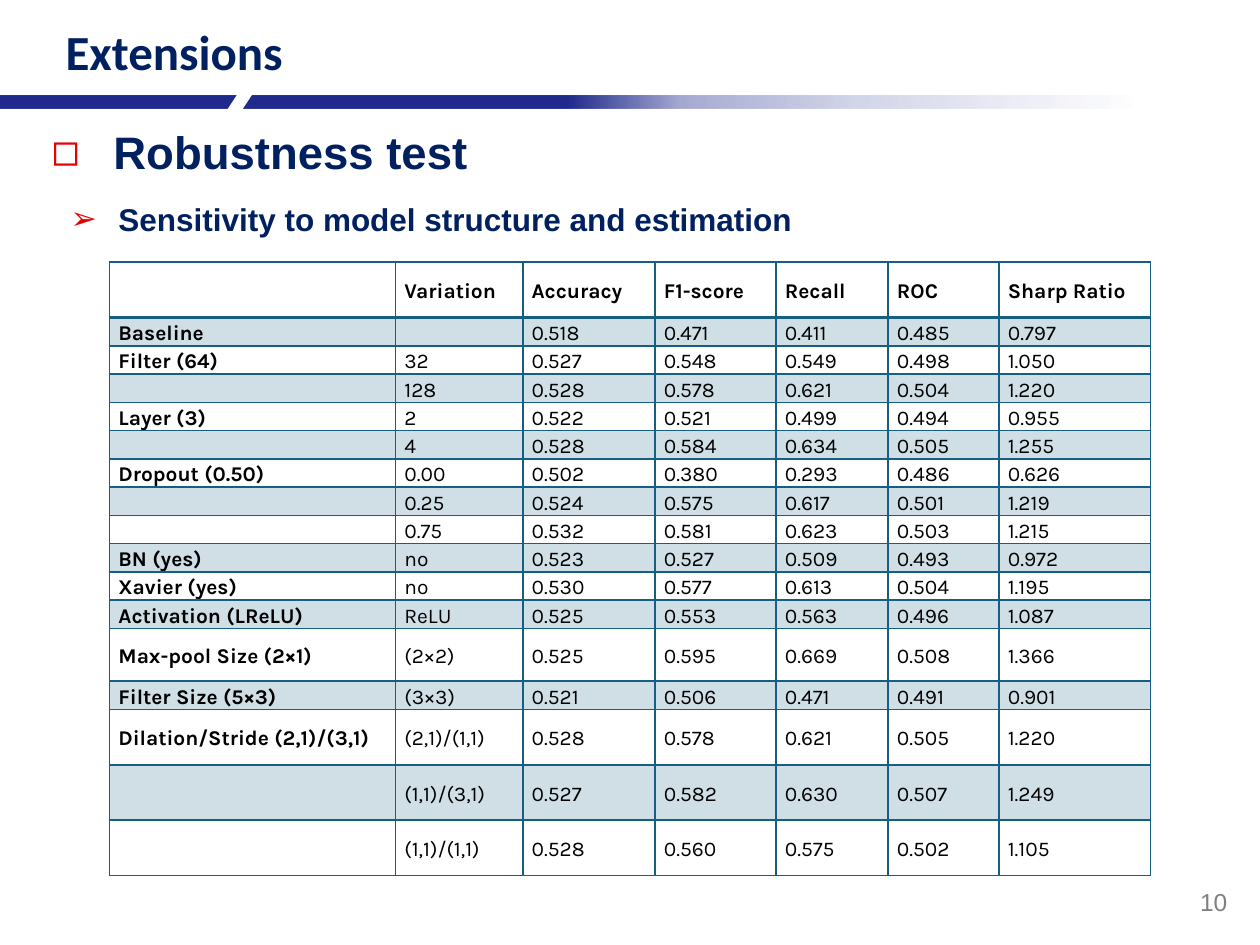
from typing import NamedTuple

from lxml import etree
from pptx import Presentation
from pptx.dml.color import RGBColor
from pptx.enum.shapes import MSO_SHAPE
from pptx.enum.text import MSO_ANCHOR, MSO_AUTO_SIZE, PP_ALIGN
from pptx.oxml import parse_xml
from pptx.oxml.ns import nsdecls, qn
from pptx.util import Inches, Pt

RECT = MSO_SHAPE.RECTANGLE
TOP, MIDDLE = MSO_ANCHOR.TOP, MSO_ANCHOR.MIDDLE
LEFT, RIGHT = PP_ALIGN.LEFT, PP_ALIGN.RIGHT
FIXED = MSO_AUTO_SIZE.NONE

WIDE, HIGH = Inches(10), Inches(7.5)
INK = {"bar": "212B8D", "navy": "002060", "red": "E70000", "teal": "156082",
       "gray": "808080", "black": "000000", "white": "FFFFFF"}
PLAIN = "{2D5ABB26-0587-4C30-8999-92F81FD0307C}"  # table style without lines


class Box(NamedTuple):
    """Left, top, width and height in percent of the slide."""
    x: float
    y: float
    w: float
    h: float

    def emu(self) -> tuple[int, ...]:
        sides = (WIDE, HIGH, WIDE, HIGH)
        return tuple(round(part * side / 100) for part, side in zip(self, sides))


class Bullet(NamedTuple):
    mark: str
    indent: float  # inches
    level: int


class Label(NamedTuple):
    text: str
    box: Box
    font: dict
    bullet: Bullet | None = None
    align: PP_ALIGN = LEFT
    anchor: MSO_ANCHOR = TOP


def style(font, look: dict) -> None:
    for name, value in look.items():
        if name == "ink":
            font.color.rgb = RGBColor.from_string(INK[value])
        else:
            setattr(font, name, value)


def add_bullet(para, bullet: Bullet) -> None:
    para.level = bullet.level
    props = para._p.get_or_add_pPr()
    gap = Inches(bullet.indent)
    props.set("marL", str(gap))
    props.set("indent", str(-gap))
    color = etree.SubElement(props, qn("a:buClr"))
    etree.SubElement(color, qn("a:srgbClr"), val=INK["red"])
    etree.SubElement(props, qn("a:buFont"), typeface="Arial")
    etree.SubElement(props, qn("a:buChar"), char=bullet.mark)


def write(shape, label: Label) -> None:
    shape.left, shape.top, shape.width, shape.height = label.box.emu()
    frame = shape.text_frame
    frame.word_wrap, frame.auto_size = True, FIXED
    frame.vertical_anchor = label.anchor
    para = frame.paragraphs[0]
    para.alignment, para.space_before = label.align, Pt(0)
    if label.bullet:
        add_bullet(para, label.bullet)
    run = para.add_run()
    run.text = label.text
    style(run.font, label.font)


def add_block(slide, box: Box, ink: str, turn: float = 0):
    block = slide.shapes.add_shape(RECT, *box.emu())
    block.shadow.inherit = False
    block.rotation = turn
    block.fill.solid()
    block.fill.fore_color.rgb = RGBColor.from_string(INK[ink])
    block.line.fill.background()
    return block


def fade(block, ink: str, stops: dict[int, int]) -> None:
    """Fade a block from right to left; stops give place and opacity."""
    marks = "".join(
        f'<a:gs pos="{place * 1000}"><a:srgbClr val="{INK[ink]}">'
        f'<a:alpha val="{part * 1000}"/></a:srgbClr></a:gs>'
        for place, part in stops.items())
    grad = parse_xml(f'<a:gradFill {nsdecls("a")} rotWithShape="1"><a:gsLst>{marks}'
                     '</a:gsLst><a:lin ang="10800000" scaled="0"/></a:gradFill>')
    props = block._element.spPr
    props.replace(props.find(qn("a:solidFill")), grad)


def edge(cell, **widths: float) -> None:
    props = cell._tc.get_or_add_tcPr()
    for spot, (side, width) in enumerate(widths.items()):
        props.insert(spot, parse_xml(
            f'<a:ln{side} {nsdecls("a")} w="{Pt(width)}"><a:solidFill>'
            f'<a:srgbClr val="{INK["teal"]}"/></a:solidFill></a:ln{side}>'))


def fill_cell(cell, text: str, row: int, col: int) -> None:
    layout = {"margin_left": Inches(0.07), "margin_right": Inches(0.07),
              "margin_top": 0, "margin_bottom": 0, "vertical_anchor": MIDDLE}
    for name, value in layout.items():
        setattr(cell, name, value)
    para = cell.text_frame.paragraphs[0]
    para.line_spacing, para.space_after = 1.15, Pt(8)
    if text:
        run = para.add_run()
        run.text = text
        style(run.font, {"name": "Karla", "size": Pt(12), "ink": "black",
                         "bold": row == 0 or col == 0})
    else:
        etree.SubElement(para._p, qn("a:endParaRPr"), sz="1200")
    if row % 2:
        cell.fill.solid()
        cell.fill.fore_color.rgb = RGBColor.from_string(INK["teal"])
        tone = cell._tc.tcPr.find(".//" + qn("a:srgbClr"))
        etree.SubElement(tone, qn("a:alpha"), val="20000")
    else:
        cell.fill.background()
    edge(cell, L=1, R=1, T=2 if row == 1 else 1, B=2 if row == 0 else 1)


def add_grid(slide, box: Box, cols: list, tall: dict, rows: list) -> None:
    """Column widths in percent of the slide; tall rows in units of one row."""
    frame = slide.shapes.add_table(len(rows), len(cols), *box.emu())
    grid = frame.table
    grid.first_row = grid.horz_banding = False
    frame._element.find(".//" + qn("a:tableStyleId")).text = PLAIN
    for col, share in zip(grid.columns, cols):
        col.width = round(WIDE * share / 100)
    for i, row in enumerate(rows):
        grid.rows[i].height = Inches(0.22 * tall.get(i, 1))
        for j, text in enumerate(row):
            fill_cell(grid.cell(i, j), text, i, j)


HEAD = {"name": "Arial", "bold": True, "ink": "navy"}
LABELS = [
    Label("Extensions", Box(4.2, 1.6, 94.3, 7.6), HEAD | {"name": "Calibri", "size": Pt(28)}),
    Label("Robustness test", Box(3.1, 12.5, 97.3, 7.2), HEAD | {"size": Pt(26)},
          Bullet("◻", 0.49, 0)),
    Label("Sensitivity to model structure and estimation", Box(4.6, 20.5, 90.9, 5.3),
          HEAD | {"size": Pt(18)}, Bullet("➢", 0.38, 1)),
]
NUMBER = Label("10", Box(88.7, 92.8, 9.7, 5.3),
               {"name": "Arial", "size": Pt(14), "ink": "gray"}, None, RIGHT, MIDDLE)

COLS = [22.7, 10.1, 10.5, 9.6, 8.9, 8.8, 12]
TALL = {0: 2, 12: 1.9, 14: 2, 15: 2, 16: 2}
ROWS = [line.split("|") for line in """\
|Variation|Accuracy|F1-score|Recall|ROC|Sharp Ratio
Baseline||0.518|0.471|0.411|0.485|0.797
Filter (64)|32|0.527|0.548|0.549|0.498|1.050
|128|0.528|0.578|0.621|0.504|1.220
Layer (3)|2|0.522|0.521|0.499|0.494|0.955
|4|0.528|0.584|0.634|0.505|1.255
Dropout (0.50)|0.00|0.502|0.380|0.293|0.486|0.626
|0.25|0.524|0.575|0.617|0.501|1.219
|0.75|0.532|0.581|0.623|0.503|1.215
BN (yes)|no|0.523|0.527|0.509|0.493|0.972
Xavier (yes)|no|0.530|0.577|0.613|0.504|1.195
Activation (LReLU)|ReLU|0.525|0.553|0.563|0.496|1.087
Max-pool Size (2×1)|(2×2)|0.525|0.595|0.669|0.508|1.366
Filter Size (5×3)|(3×3)|0.521|0.506|0.471|0.491|0.901
Dilation/Stride (2,1)/(3,1)|(2,1)/(1,1)|0.528|0.578|0.621|0.505|1.220
|(1,1)/(3,1)|0.527|0.582|0.630|0.507|1.249
|(1,1)/(1,1)|0.528|0.560|0.575|0.502|1.105""".splitlines()]


def main() -> None:
    deck = Presentation()
    deck.slide_width, deck.slide_height = WIDE, HIGH
    slide = deck.slides.add_slide(deck.slide_layouts[3])

    # Title and list lines
    for holder, label in zip(list(slide.placeholders), LABELS):
        write(holder, label)

    # Fading bar with a slanted gap
    bar = add_block(slide, Box(0, 10.13, 90, 1.4), "bar")
    fade(bar, "bar", {0: 0, 25: 20, 40: 40, 50: 100, 80: 100, 100: 100})
    add_block(slide, Box(18.6, 8.67, 1, 4), "white", 33.2)

    # Slide number
    write(slide.shapes.add_textbox(*NUMBER.box.emu()), NUMBER)

    # Results
    add_grid(slide, Box(8.7, 27.73, 82.5, 66.67), COLS, TALL, ROWS)
    deck.save("out.pptx")


if __name__ == "__main__":
    main()
